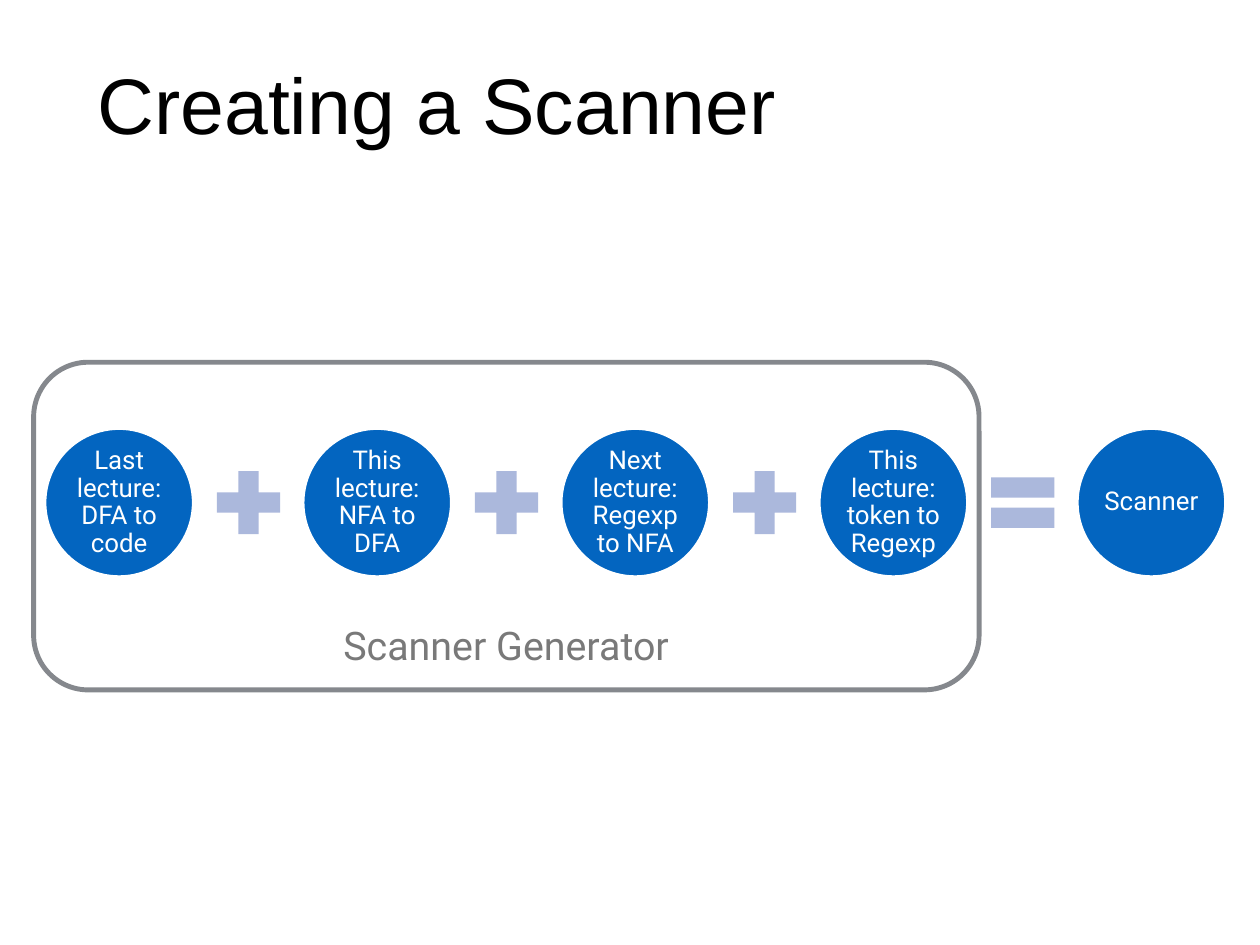
from pptx import Presentation
from pptx.dml.color import RGBColor
from pptx.enum.shapes import MSO_SHAPE
from pptx.enum.text import MSO_ANCHOR, PP_ALIGN
from pptx.util import Inches, Pt

OVAL = MSO_SHAPE.OVAL
PLUS = MSO_SHAPE.MATH_PLUS
EQUAL = MSO_SHAPE.MATH_EQUAL
ROUNDED = MSO_SHAPE.ROUNDED_RECTANGLE
MIDDLE, BOTTOM = MSO_ANCHOR.MIDDLE, MSO_ANCHOR.BOTTOM
LEFT, CENTER = PP_ALIGN.LEFT, PP_ALIGN.CENTER

STEPS = [
    "Last lecture: DFA to code",
    "This lecture: NFA to DFA",
    "Next lecture: Regexp to NFA",
    "This lecture: token to Regexp",
    "Scanner",
]
OPERATORS = [PLUS, PLUS, PLUS, EQUAL]
FIRST_LEFT, PITCH = 0.51, 2.9125
CIRCLE_SIZE, CIRCLE_TOP = 1.67, 4.84
OPERATOR_SIZE, OPERATOR_OFFSET = 0.97, 1.81
OPERATOR_TOP = CIRCLE_TOP + (CIRCLE_SIZE - OPERATOR_SIZE) / 2


def rgb(color):
    return RGBColor.from_string(color)


def add_shape(s, kind, left, top, width, height, fill=None, line=None, weight=0):
    sp = s.shapes.add_shape(
        kind, Inches(left), Inches(top), Inches(width), Inches(height))
    sp.shadow.inherit = False
    if fill:
        sp.fill.solid()
        sp.fill.fore_color.rgb = rgb(fill)
    else:
        sp.fill.background()
    if line:
        sp.line.color.rgb = rgb(line)
        sp.line.width = Pt(weight)
    else:
        sp.line.fill.background()
    return sp


def set_text(sp, text, font, size, color, align=CENTER, anchor=MIDDLE,
             inset=0.06, spacing=1.0):
    tf = sp.text_frame
    tf.word_wrap = True
    tf.vertical_anchor = anchor
    tf.margin_left = tf.margin_right = Inches(inset)
    tf.margin_top = tf.margin_bottom = Inches(inset)
    tf.text = text
    p = tf.paragraphs[0]
    p.alignment = align
    p.line_spacing = spacing
    r = p.runs[0]
    r.font.name = font
    r.font.size = Pt(size)
    r.font.color.rgb = rgb(color)


def add_title(s, text):
    sp = s.shapes.add_textbox(
        Inches(1.04), Inches(-0.02), Inches(12.14), Inches(2.36))
    set_text(sp, text, "Arial", 64, "000000", align=LEFT)


def add_step(s, left, text):
    sp = add_shape(s, OVAL, left, CIRCLE_TOP, CIRCLE_SIZE, CIRCLE_SIZE,
                   "0365C0", "FFFFFF", 2)
    set_text(sp, text, "Roboto", 21, "FFFFFF", inset=0.03, spacing=0.9)


def add_operator(s, left, kind):
    add_shape(s, kind, left, OPERATOR_TOP, OPERATOR_SIZE, OPERATOR_SIZE, "ABB8DC")


def add_generator_frame(s, text):
    sp = add_shape(s, ROUNDED, 0.38, 4.09, 10.67, 3.7, line="85888D", weight=4)
    set_text(sp, text, "Roboto", 32, "797979", anchor=BOTTOM)


def main():
    prs = Presentation()
    prs.slide_width = Inches(14.22)
    prs.slide_height = Inches(10.67)
    s = prs.slides.add_slide(prs.slide_layouts[6])
    add_title(s, "Creating a Scanner")
    for i, text in enumerate(STEPS):
        add_step(s, FIRST_LEFT + i * PITCH, text)
    for i, kind in enumerate(OPERATORS):
        add_operator(s, FIRST_LEFT + OPERATOR_OFFSET + i * PITCH, kind)
    add_generator_frame(s, "Scanner Generator")
    prs.save("out.pptx")


if __name__ == "__main__":
    main()
